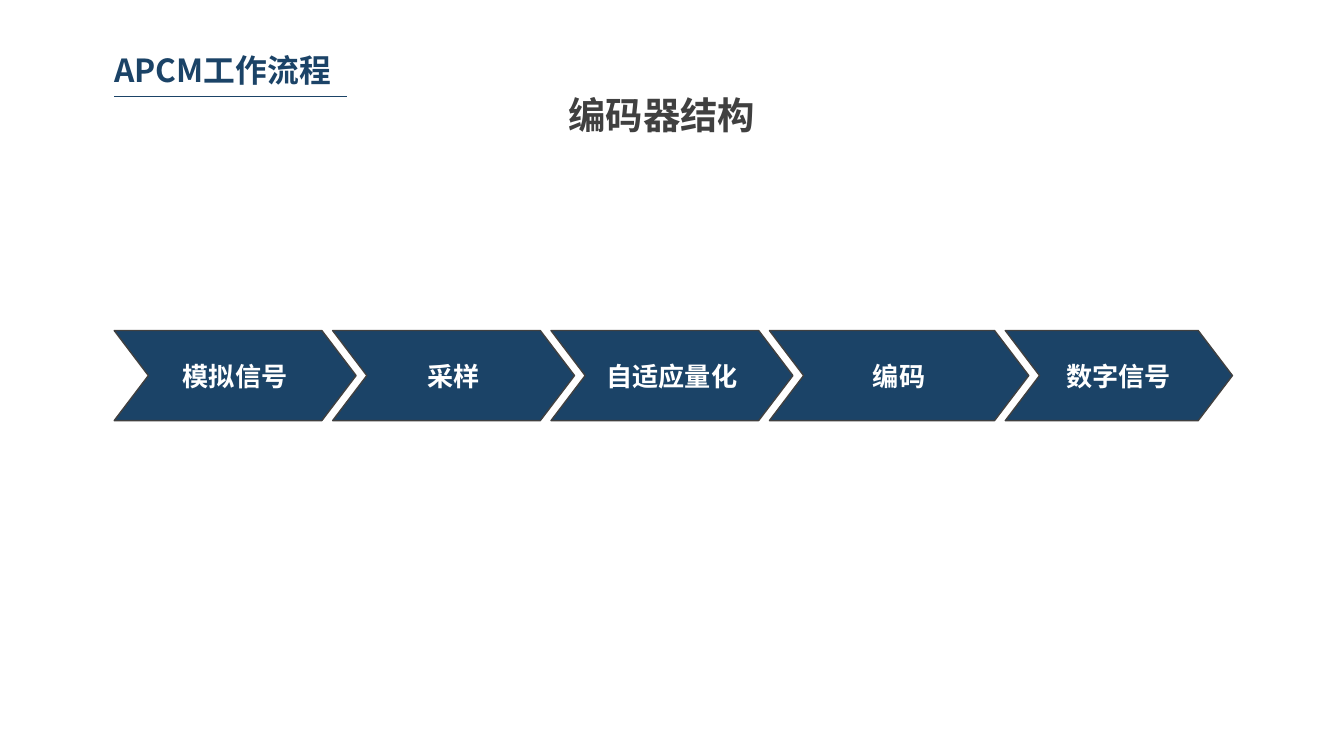
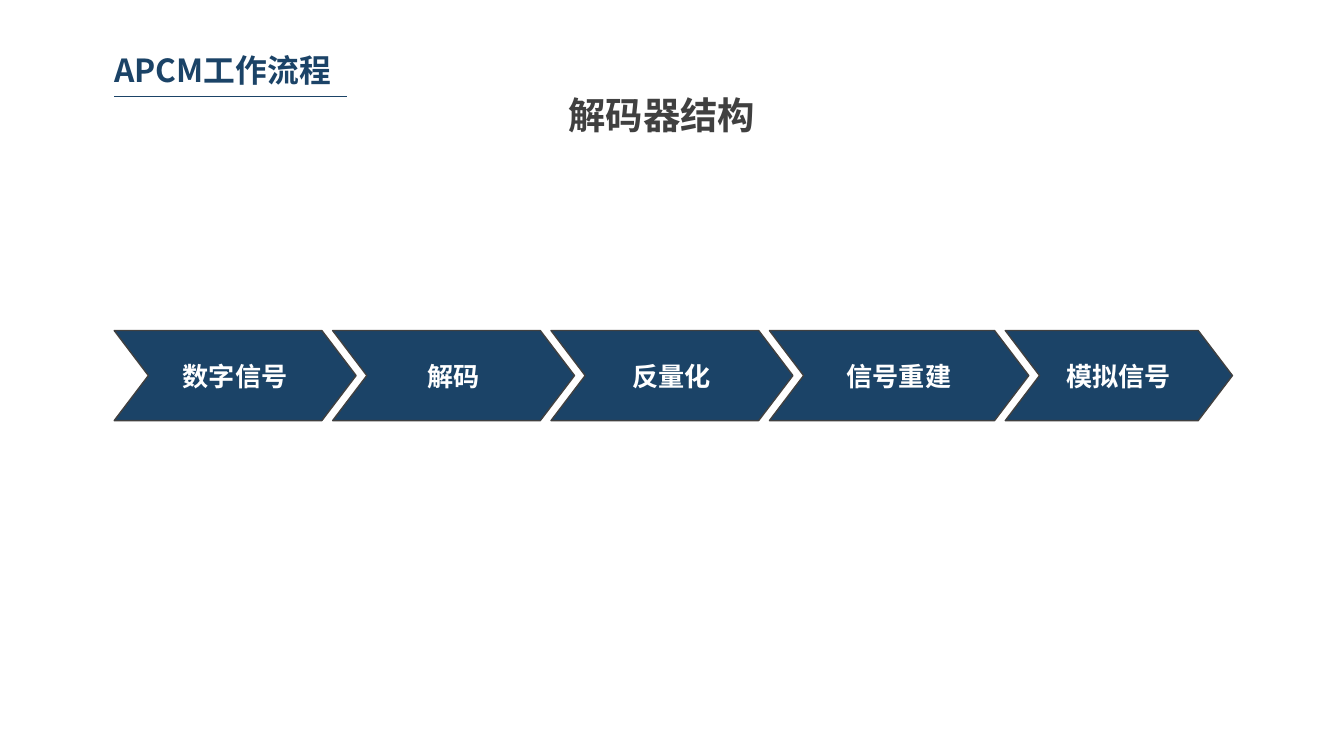
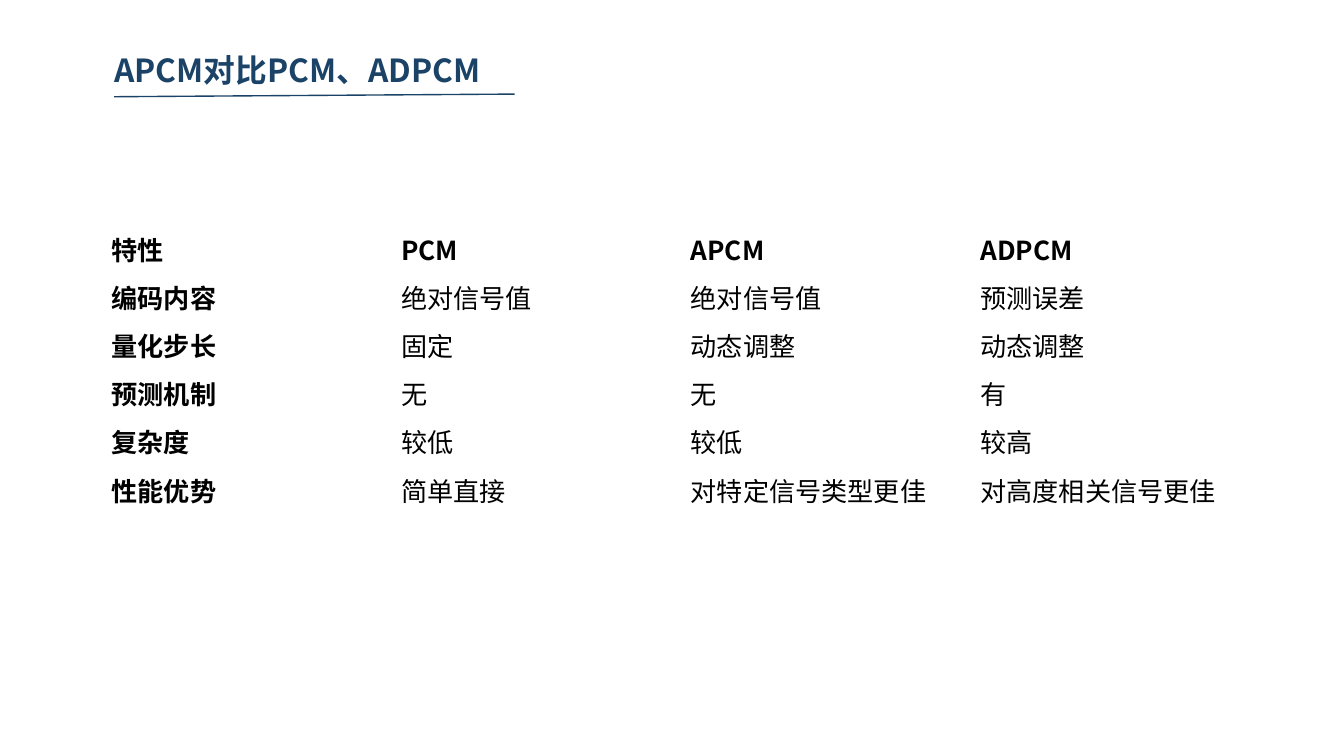
from dataclasses import dataclass

from pptx import Presentation
from pptx.dml.color import RGBColor as Rgb
from pptx.enum.shapes import MSO_CONNECTOR as Connector, MSO_SHAPE as Preset
from pptx.enum.text import MSO_ANCHOR as Anchor, MSO_AUTO_SIZE as AutoSize, PP_ALIGN as Align
from pptx.oxml.ns import qn
from pptx.util import Inches, Pt

GRID = 0.1  # inches per column and per row
COLUMNS, ROWS = 100, 56.25
TITLE_ONLY = 5


@dataclass(frozen=True)
class Theme:
    navy: Rgb = Rgb.from_string("1B4367")
    grey: Rgb = Rgb.from_string("404040")
    black: Rgb = Rgb.from_string("000000")
    white: Rgb = Rgb.from_string("FFFFFF")
    main_font: str = "Noto Sans CJK SC"
    caption_font: str = "Roboto"
    title_size: int = 17
    caption_size: int = 20
    body_size: int = 14
    line_width: float = 0.75


def cells(count):
    return Inches(count * GRID)


def insets(across, down):
    return {"margin_left": cells(across), "margin_right": cells(across),
            "margin_top": cells(down), "margin_bottom": cells(down)}


def apply(target, values):
    for attribute, value in values.items():
        setattr(target, attribute, value)


class Deck:
    def __init__(self, theme):
        self.theme = theme
        self.presentation = Presentation()
        self.presentation.slide_width = cells(COLUMNS)
        self.presentation.slide_height = cells(ROWS)
        self.slide = None

    def add_text(self, frame, text, size, color, align=Align.LEFT, bold=True, font=None):
        font = font or self.theme.main_font
        paragraph = frame.paragraphs[0]
        paragraph.alignment = align
        run = paragraph.add_run()
        run.text = text
        apply(run.font, {"name": font, "size": Pt(size), "bold": bold})
        run.font.color.rgb = color
        east_asian = run.font._element.makeelement(qn("a:ea"), {"typeface": font})
        run.font._element.find(qn("a:latin")).addnext(east_asian)

    def start_slide(self, title, title_width, rule_end):
        """Add a slide with its title and the rule under it, ending at rule_end."""
        layout = self.presentation.slide_layouts[TITLE_ONLY]
        self.slide = self.presentation.slides.add_slide(layout)
        heading = self.slide.shapes.title
        apply(heading, {"left": cells(7.8), "top": cells(3.4),
                        "width": cells(title_width), "height": cells(3.6)})
        apply(heading.text_frame, {**insets(0.7, 0.4), "word_wrap": True,
                                   "vertical_anchor": Anchor.TOP,
                                   "auto_size": AutoSize.SHAPE_TO_FIT_TEXT})
        self.add_text(heading.text_frame, title, self.theme.title_size, self.theme.navy)
        self.rule((8.5, 7.2), rule_end)

    def rule(self, start, end):
        rule = self.slide.shapes.add_connector(
            Connector.STRAIGHT, *map(cells, (*start, *end)))
        rule.line.color.rgb = self.theme.navy
        rule.line.width = Pt(self.theme.line_width)
        properties = rule._element.spPr
        properties.append(properties.makeelement(qn("a:effectLst"), {}))

    def caption(self, text):
        box = self.slide.shapes.add_textbox(*map(cells, (39.6, 6.4, 19.3, 4.4)))
        apply(box.text_frame, {"word_wrap": True, "auto_size": AutoSize.SHAPE_TO_FIT_TEXT})
        self.add_text(box.text_frame, text, self.theme.caption_size, self.theme.grey,
                      Align.CENTER, font=self.theme.caption_font)

    def chevron(self, text, left, width):
        step = self.slide.shapes.add_shape(
            Preset.CHEVRON, *map(cells, (left, 24.6, width, 6.7)))
        step.adjustments[0] = 0.38
        step.shadow.inherit = False
        step.fill.solid()
        step.fill.fore_color.rgb = self.theme.navy
        step.line.color.rgb = self.theme.grey
        step.line.width = Pt(self.theme.line_width)
        apply(step.text_frame, {**insets(0.7, 0.4), "word_wrap": True,
                                "vertical_anchor": Anchor.MIDDLE})
        self.add_text(step.text_frame, text, self.theme.body_size, self.theme.white,
                      Align.CENTER)

    def process(self, steps, widths=(18, 18, 18, 19.3, 16.9), overlap=1.75):
        left = 8.5
        for step, width in zip(steps, widths):
            self.chevron(step, left, width)
            left += width - overlap

    def comparison(self, records):
        """Add a plain table whose first row and first column are bold."""
        table = self.slide.shapes.add_table(
            len(records), len(records[0]), *map(cells, (6.9, 16.5, 86.2, 21.5))).table
        apply(table, {"first_row": False, "horz_banding": False})
        for row, record in enumerate(records):
            for column, text in enumerate(record):
                cell = table.cell(row, column)
                cell.fill.solid()
                cell.fill.fore_color.rgb = self.theme.white
                apply(cell, {**insets(1.4, 0.6), "vertical_anchor": Anchor.MIDDLE})
                self.add_text(cell.text_frame, text, self.theme.body_size, self.theme.black,
                              bold=row == 0 or column == 0)


WORKFLOWS = {
    "编码器结构": ("模拟信号", "采样", "自适应量化", "编码", "数字信号"),
    "解码器结构": ("数字信号", "解码", "反量化", "信号重建", "模拟信号"),
}
METHODS = (
    ("特性", "PCM", "APCM", "ADPCM"),
    ("编码内容", "绝对信号值", "绝对信号值", "预测误差"),
    ("量化步长", "固定", "动态调整", "动态调整"),
    ("预测机制", "无", "无", "有"),
    ("复杂度", "较低", "较低", "较高"),
    ("性能优势", "简单直接", "对特定信号类型更佳", "对高度相关信号更佳"),
)


def main():
    deck = Deck(Theme())
    for structure, steps in WORKFLOWS.items():
        deck.start_slide("APCM工作流程", 24.7, (25.8, 7.2))
        deck.caption(structure)
        deck.process(steps)
    deck.start_slide("APCM对比PCM、ADPCM", 39.8, (38.3, 7))
    deck.comparison(METHODS)
    deck.presentation.save("out.pptx")


if __name__ == "__main__":
    main()
